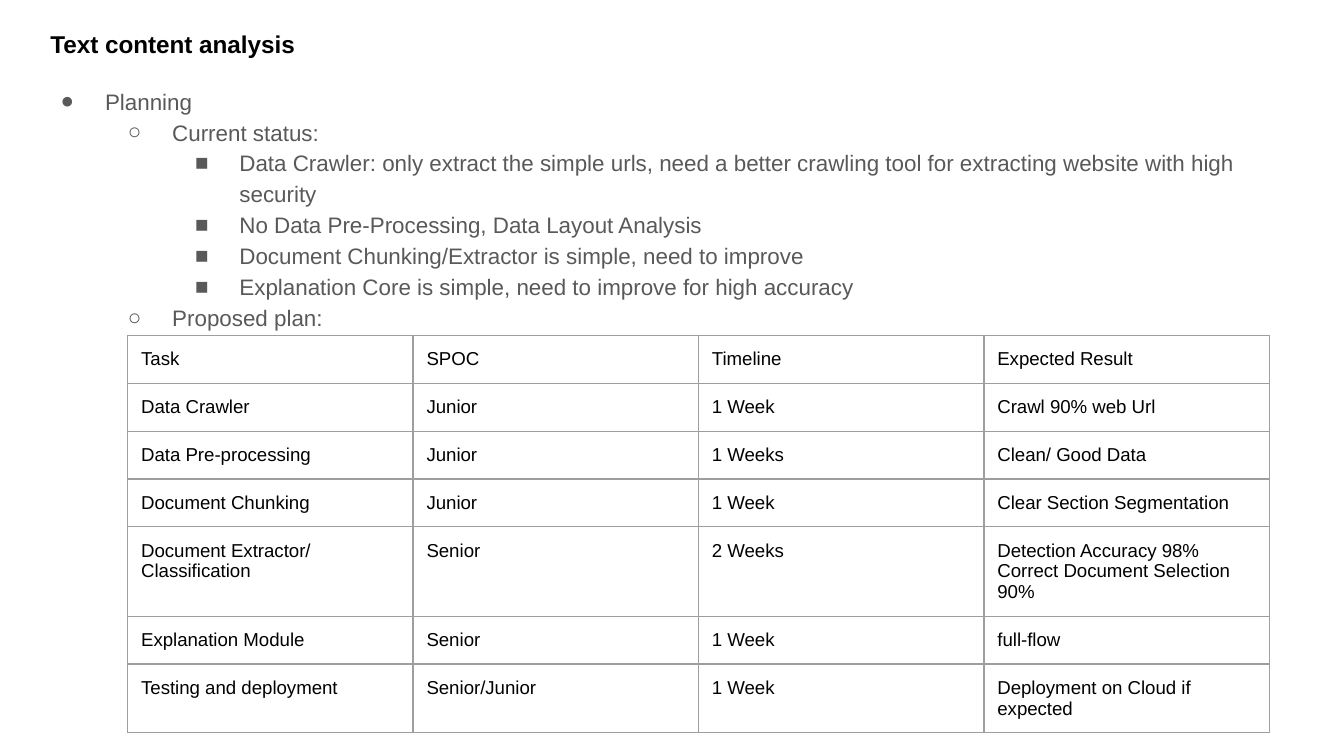
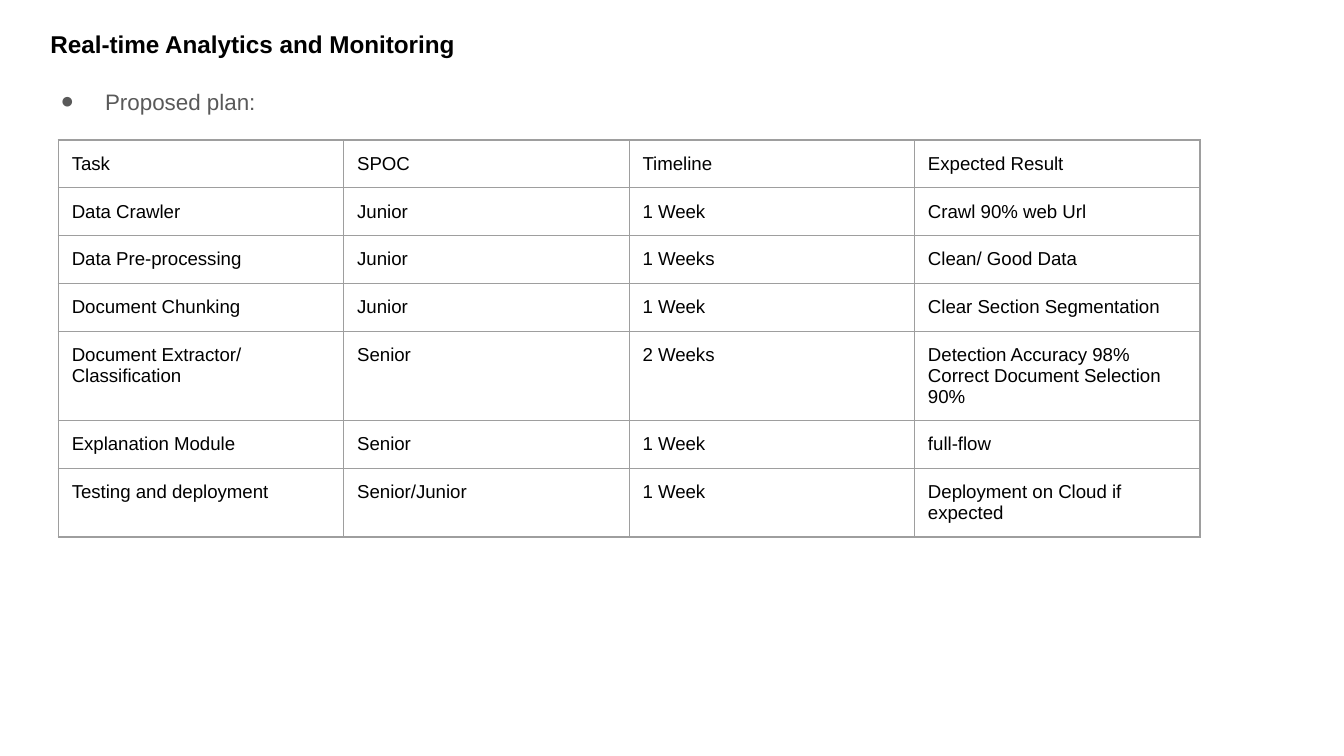
import dataclasses

import pptx
import pptx.dml.color
import pptx.enum.text
import pptx.oxml.ns
import pptx.util
from lxml import etree

COLORS = {"title": "000000", "body": "595959", "cell": "000000", "border": "9E9E9E"}
FONT = "Arial"
INSET = 0.1
LINE_SPACING = 1.15
BORDER_PT = 0.75
BULLETS = "●○■"
LEVEL_INDENT, HANGING = 0.5, 0.33
SLIDE_WIDTH = 10
SLIDE_HEIGHT = SLIDE_WIDTH * 9 / 16
ROW_WEIGHTS = [34, 34, 34, 34, 65, 34, 49]

PLAN = [
    ["Task", "SPOC", "Timeline", "Expected Result"],
    ["Data Crawler", "Junior", "1 Week", "Crawl 90% web Url"],
    ["Data Pre-processing", "Junior", "1 Weeks", "Clean/ Good Data"],
    ["Document Chunking", "Junior", "1 Week", "Clear Section Segmentation"],
    ["Document Extractor/ Classification", "Senior", "2 Weeks",
     "Detection Accuracy 98%\nCorrect Document Selection 90%"],
    ["Explanation Module", "Senior", "1 Week", "full-flow"],
    ["Testing and deployment", "Senior/Junior", "1 Week",
     "Deployment on Cloud if expected"],
]

STATUS_OUTLINE = [
    (0, "Planning"),
    (1, "Current status:"),
    (2, "Data Crawler: only extract the simple urls, need a better crawling tool "
        "for extracting website with high security"),
    (2, "No Data Pre-Processing, Data Layout Analysis"),
    (2, "Document Chunking/Extractor is simple, need to improve"),
    (2, "Explanation Core is simple, need to improve for high accuracy"),
    (1, "Proposed plan:"),
]


@dataclasses.dataclass
class Box:
    """A region in percent of the slide's width and height."""
    left: float
    top: float
    width: float
    height: float

    def emu(self):
        across, down = SLIDE_WIDTH / 100, SLIDE_HEIGHT / 100
        return [pptx.util.Inches(length) for length in (
            self.left * across, self.top * down, self.width * across, self.height * down)]


TITLE_BOX = Box(2.75, 1.5, 93.2, 7.8)
STATUS_BOX = Box(1.83, 9.3, 93.2, 36.8)
HEADING_BOX = Box(1.83, 9.3, 93.2, 9.25)
LOWER_TABLE_BOX = Box(9.5, 44.4, 84.96, 50.5)
UPPER_TABLE_BOX = Box(4.34, 18.53, 84.96, 50.5)


def set_insets(holder):
    """Give a text frame or a table cell the shared inner margins."""
    for side in ("left", "top", "right", "bottom"):
        setattr(holder, f"margin_{side}", pptx.util.Inches(INSET))


def prepare_frame(frame):
    set_insets(frame)
    frame.word_wrap = True
    frame.auto_size = pptx.enum.text.MSO_AUTO_SIZE.NONE
    frame.vertical_anchor = pptx.enum.text.MSO_ANCHOR.TOP


def paragraphs_for(frame, count):
    """Return the frame's first paragraph and as many new ones as needed."""
    return [frame.paragraphs[0]] + [frame.add_paragraph() for _ in range(count - 1)]


def add_run(paragraph, text, size, color, bold=False):
    paragraph.alignment = pptx.enum.text.PP_ALIGN.LEFT
    run = paragraph.add_run()
    run.text = text
    run.font.name = FONT
    run.font.size = pptx.util.Pt(size)
    run.font.bold = bold
    run.font.color.rgb = pptx.dml.color.RGBColor.from_string(COLORS[color])


def add_xml(parent, tag, **attributes):
    values = {name: str(value) for name, value in attributes.items()}
    return etree.SubElement(parent, pptx.oxml.ns.qn(tag), values)


def set_bullet(paragraph, level):
    paragraph.level = level
    properties = paragraph._p.get_or_add_pPr()
    properties.set("marL", str(pptx.util.Inches(LEVEL_INDENT * (level + 1))))
    properties.set("indent", str(pptx.util.Inches(-HANGING)))
    add_xml(add_xml(properties, "a:buClr"), "a:srgbClr", val=COLORS["body"])
    add_xml(properties, "a:buFont", typeface=FONT)
    add_xml(properties, "a:buChar", char=BULLETS[level])


def set_borders(cell):
    properties = cell._tc.get_or_add_tcPr()
    for side in "LRTB":
        line = add_xml(properties, f"a:ln{side}", w=pptx.util.Pt(BORDER_PT))
        add_xml(add_xml(line, "a:solidFill"), "a:srgbClr", val=COLORS["border"])


def place_title(slide, text, box):
    title = slide.shapes.title
    title.left, title.top, title.width, title.height = box.emu()
    prepare_frame(title.text_frame)
    paragraph = title.text_frame.paragraphs[0]
    paragraph.line_spacing = LINE_SPACING
    add_run(paragraph, text, 13, "title", bold=True)


def add_outline(slide, outline, box):
    frame = slide.shapes.add_textbox(*box.emu()).text_frame
    prepare_frame(frame)
    for paragraph, (level, text) in zip(paragraphs_for(frame, len(outline)), outline):
        paragraph.line_spacing = LINE_SPACING
        set_bullet(paragraph, level)
        add_run(paragraph, text, 12, "body")


def fill_cell(cell, text):
    set_insets(cell)
    set_borders(cell)
    cell.fill.background()
    lines = text.split("\n")
    for paragraph, line in zip(paragraphs_for(cell.text_frame, len(lines)), lines):
        add_run(paragraph, line, 10, "cell")


def add_plan_table(slide, box):
    left, top, width, height = box.emu()
    plan = slide.shapes.add_table(
        len(PLAN), len(PLAN[0]), left, top, width, height).table
    plan.first_row = plan.horz_banding = False
    for column in plan.columns:
        column.width = width // len(PLAN[0])
    for row, weight, texts in zip(plan.rows, ROW_WEIGHTS, PLAN):
        row.height = round(height * weight / sum(ROW_WEIGHTS))
        for cell, text in zip(row.cells, texts):
            fill_cell(cell, text)


def add_plan_slide(deck, title, outline, outline_box, table_box):
    slide = deck.slides.add_slide(deck.slide_layouts.get_by_name("Title Only"))
    place_title(slide, title, TITLE_BOX)
    add_outline(slide, outline, outline_box)
    add_plan_table(slide, table_box)


def main():
    deck = pptx.Presentation()
    deck.slide_width = pptx.util.Inches(SLIDE_WIDTH)
    deck.slide_height = pptx.util.Inches(SLIDE_HEIGHT)
    add_plan_slide(deck, "Text content analysis",
                   STATUS_OUTLINE, STATUS_BOX, LOWER_TABLE_BOX)
    add_plan_slide(deck, "Real-time Analytics and Monitoring",
                   [(0, "Proposed plan:")], HEADING_BOX, UPPER_TABLE_BOX)
    deck.save("out.pptx")


if __name__ == "__main__":
    main()
